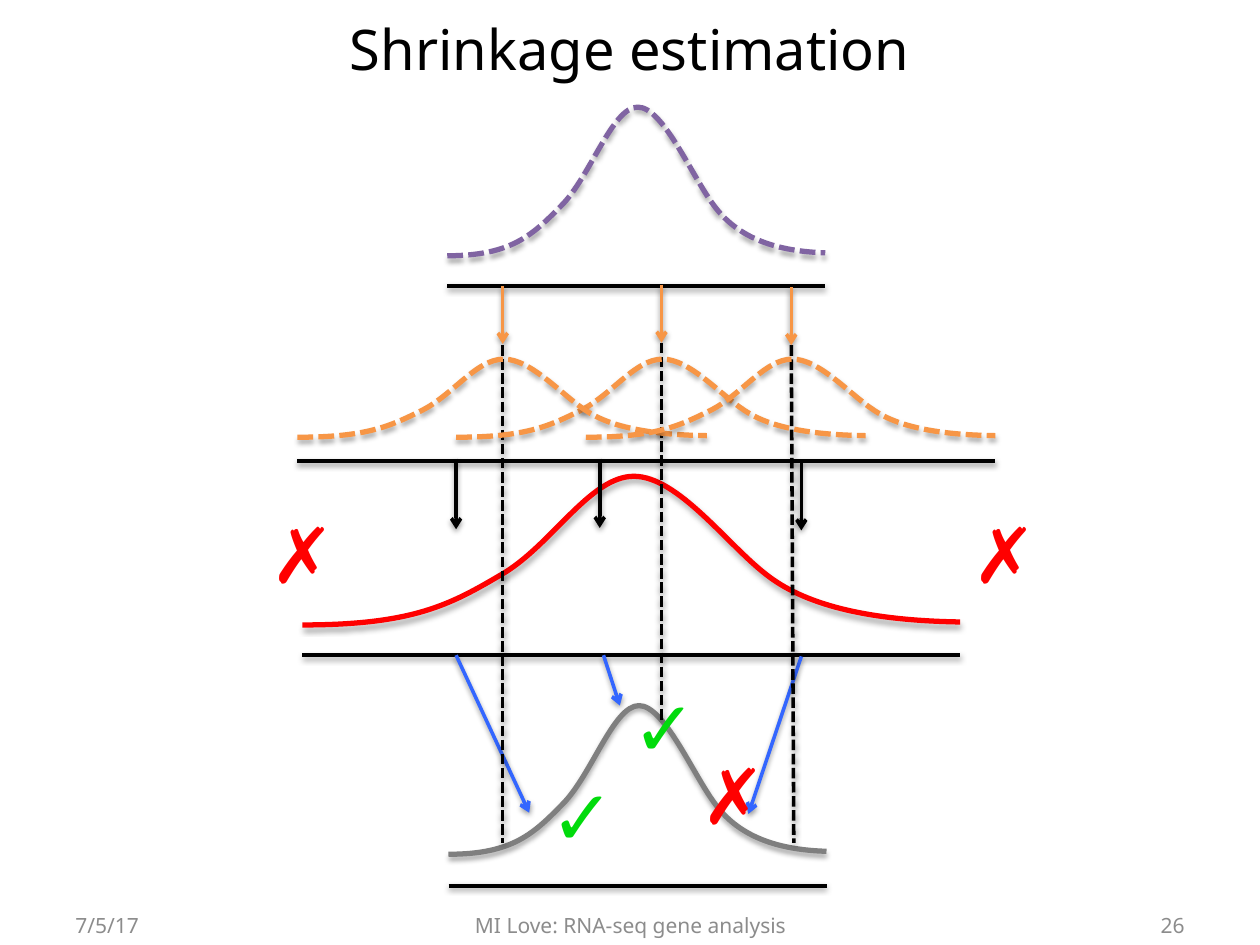
from lxml.etree import SubElement
from pptx import Presentation
from pptx.dml.color import RGBColor
from pptx.enum.dml import MSO_LINE
from pptx.enum.shapes import MSO_CONNECTOR
from pptx.enum.text import MSO_ANCHOR, MSO_AUTO_SIZE, PP_ALIGN
from pptx.oxml.ns import qn
from pptx.util import Emu, Pt

PX = 9144  # 100 px to the inch
BLACK, GREY, RED, GREEN = "000000", "8C8C8C", "FF0000", "01DB0C"
PURPLE, ORANGE, BLUE, DARK_GREY = "8064A2", "F79646", "3366FF", "7F7F7F"

# Bell curve in percent of its box: a start, then control, control, end
BELL = [(0, 100), (17, 100), (22.6, 86), (30.3, 66),
        (37.9, 46.5), (43.7, 0), (50.4, 0),
        (57.1, 0), (64.6, 46), (70.5, 66),
        (76.2, 86), (85.6, 97), (100, 98)]


def px(*lengths):
    return [Emu(round(length * PX)) for length in lengths]


def rgb(colour):
    return RGBColor.from_string(colour)


def style_line(shape, colour, points, dashed, opacity, distance):
    shape.line.color.rgb = rgb(colour)
    shape.line.width = Pt(points)
    if dashed:
        shape.line.dash_style = MSO_LINE.SQUARE_DOT
    # Soft shadow straight below
    effects = SubElement(shape.element.spPr, qn("a:effectLst"))
    shadow = SubElement(effects, qn("a:outerShdw"), blurRad="40000",
                        dist=str(distance), dir="5400000", rotWithShape="0")
    black = SubElement(shadow, qn("a:srgbClr"), val=BLACK)
    SubElement(black, qn("a:alpha"), val=str(opacity * 1000))


def add_line(page, start, end, colour=BLACK, dashed=False, arrow=False):
    line = page.shapes.add_connector(MSO_CONNECTOR.STRAIGHT, *px(*start, *end))
    style_line(line, colour, 2, dashed, 38, 20000)
    if arrow:
        SubElement(line.line._get_or_add_ln(), qn("a:tailEnd"), type="arrow")


def add_bell(page, box, colour, dashed):
    left, top, width, height = box
    points = [px(left + width * x / 100, top + height * y / 100) for x, y in BELL]
    builder = page.shapes.build_freeform(*points[0])
    builder.add_line_segments(points[1:], close=False)
    bell = builder.convert_to_shape()
    bell.fill.background()
    # Merge each three straight segments into one Bezier segment
    outline = bell.element.xpath(".//a:path")[0]
    segments = outline.findall(qn("a:lnTo"))
    for first in range(0, len(segments), 3):
        bezier = SubElement(outline, qn("a:cubicBezTo"))
        for segment in segments[first:first + 3]:
            bezier.append(segment[0])
            outline.remove(segment)
    style_line(bell, colour, 3, dashed, 35, 23000)


def add_panel(page, box, colour, dashed=False, bells=None, arrows=(), arrow_colour=BLACK):
    """Bells over a baseline; bells and arrows are relative to the box."""
    left, top, width, height = box
    for x, bell_width, bell_height in bells or [(0, width, 118)]:
        add_bell(page, (left + x, top, bell_width, bell_height), colour, dashed)
    add_line(page, (left, top + height), (left + width, top + height))
    for x1, y1, x2, y2 in arrows:
        add_line(page, (left + x1, top + y1), (left + x2, top + y2),
                 arrow_colour, arrow=True)


def format_text(box, text, size, colour, font="Noto Sans", align=PP_ALIGN.LEFT,
                anchor=MSO_ANCHOR.MIDDLE):
    frame = box.text_frame
    frame.text = text
    frame.word_wrap = True
    frame.vertical_anchor = anchor
    para = frame.paragraphs[0]
    para.alignment = align
    para.font.size = Pt(size)
    para.font.name = font
    para.font.color.rgb = rgb(colour)


def add_mark(page, left, top, mark, colour):
    box = page.shapes.add_textbox(*px(left, top, 69, 84))
    format_text(box, mark, 44, colour, "Arial", anchor=MSO_ANCHOR.TOP)
    box.text_frame.auto_size = MSO_AUTO_SIZE.SHAPE_TO_FIT_TEXT


def add_title(page, box, text):
    title = page.shapes.title
    title.left, title.top, title.width, title.height = px(*box)
    format_text(title, text, 32, BLACK, align=PP_ALIGN.CENTER)


def add_footer(page, top, height):
    for left, width, text, align in [
            (50, 233, "7/5/17", PP_ALIGN.LEFT),
            (342, 317, "MI Love: RNA-seq gene analysis", PP_ALIGN.CENTER),
            (717, 233, "26", PP_ALIGN.RIGHT)]:
        box = page.shapes.add_textbox(*px(left, top, width, height))
        format_text(box, text, 12, GREY, align=align)


def main():
    deck = Presentation()
    deck.slide_width, deck.slide_height = px(1000, 750)
    page = deck.slides.add_slide(deck.slide_layouts[5])
    add_title(page, (50, 2, 900, 73), "Shrinkage estimation")

    # Purple, red and grey distributions
    add_panel(page, (355, 85, 300, 142), PURPLE, dashed=True)
    add_panel(page, (240, 378, 522, 142), RED,
              arrows=[(122, -14, 122, 42), (236, -14, 236, 41), (396, -12, 396, 43)])
    add_panel(page, (356, 560, 300, 143), DARK_GREY, arrow_colour=BLUE,
              arrows=[(6, -40, 64, 85), (123, -40, 136, 0), (280, -39, 238, 86)])
    add_footer(page, 714, 40)

    # Dashed guides from the orange peaks down
    for start, end in [((628, 274), (630, 669)), ((399, 274), (399, 669)),
                       ((525, 272), (525, 572))]:
        add_line(page, start, end, dashed=True)

    # Crosses and ticks
    for left, top in [(762, 397), (205, 397), (547, 588)]:
        add_mark(page, left, top, "✗", RED)
    for left, top in [(492, 534), (427, 605)]:
        add_mark(page, left, top, "✓", GREEN)

    # Three overlapping orange distributions
    add_panel(page, (236, 285, 554, 81), ORANGE, dashed=True,
              bells=[(x, 325, 62) for x in (126, 0, 229)], arrow_colour=ORANGE,
              arrows=[(x, y, x, y + 46) for x, y in [(163, -58), (289, -59), (392, -57)]])

    deck.save("out.pptx")


if __name__ == "__main__":
    main()
